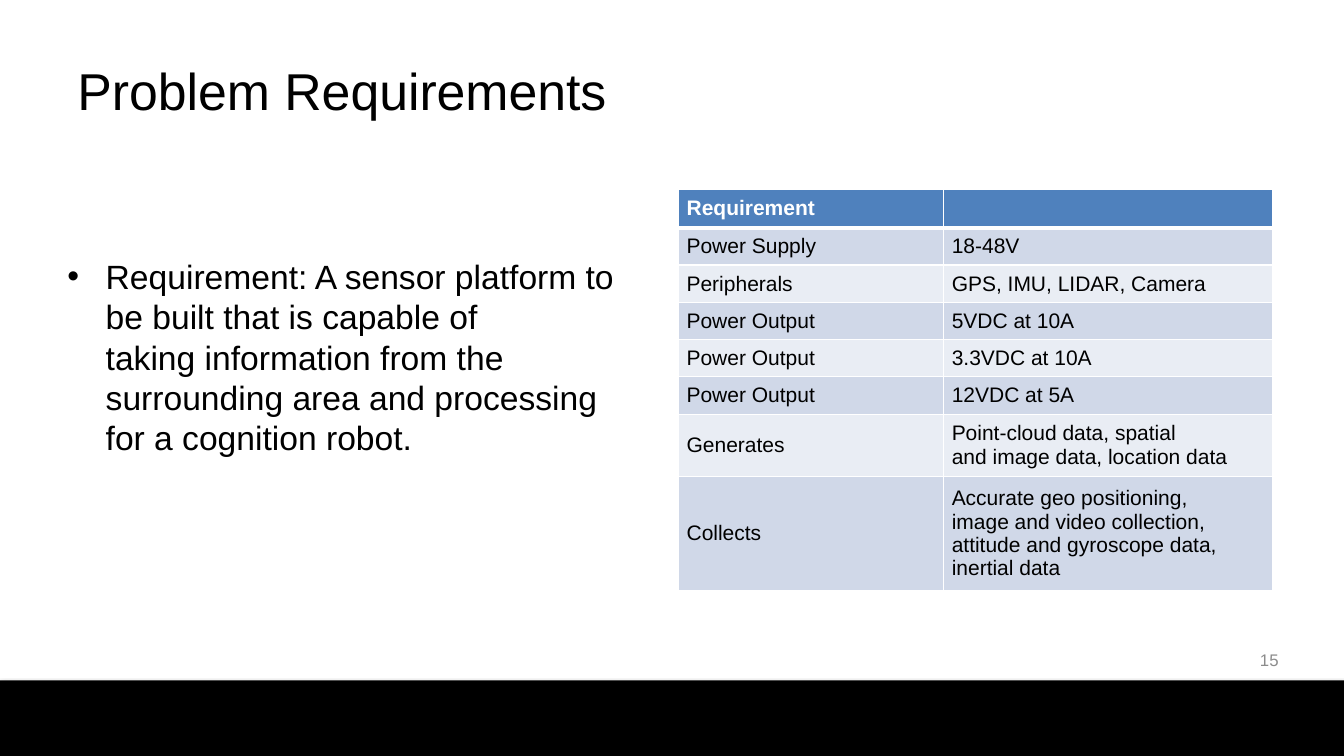
import pptx
import pptx.util
import pptx.dml.color
import pptx.enum.shapes
import pptx.enum.text
import pptx.oxml

TITLE = "Problem Requirements"
BODY = ("Requirement: A sensor platform to be built~that~is~capable of "
        "taking~information from the surrounding area~and~processing "
        "for a cognition robot.~")
NUMBER = "15"
ROWS = [
    ("Requirement", ""),
    ("Power Supply", "18-48V"),
    ("Peripherals", "GPS, IMU, LIDAR, Camera"),
    ("Power Output~", "5VDC at 10A"),
    ("Power Output", "3.3VDC at 10A"),
    ("Power Output", "12VDC at 5A"),
    ("Generates", "Point-cloud data, spatial and~image data, location data"),
    ("Collects~", "Accurate geo positioning, image~and video collection, "
                  "attitude and~gyroscope data, inertial data"),
]
HARD_SPACE = chr(160)
COL_WIDTHS = [2.63, 3.26]
ROW_HEIGHTS = [0.37] * 6 + [0.62, 1.13]
HEADER_FILL = "4F81BD"
BAND_FILLS = ["E9EDF4", "D0D8E8"]
NS = 'xmlns:a="http://schemas.openxmlformats.org/drawingml/2006/main"'

Inches = pptx.util.Inches
Pt = pptx.util.Pt
ANCHOR = pptx.enum.text.MSO_ANCHOR
ALIGN = pptx.enum.text.PP_ALIGN


def rgb(value):
    return pptx.dml.color.RGBColor.from_string(value)


def xml(text):
    return pptx.oxml.parse_xml(text)


def write(tf, text, size, color, bold=False):
    tf.text = text.replace("~", HARD_SPACE)
    p = tf.paragraphs[0]
    for r in p.runs:
        r.font.name = "Arial"
        r.font.size = Pt(size)
        r.font.bold = bold
        r.font.color.rgb = rgb(color)
    return p


def add_text(slide, box, text, size, color="000000", anchor=ANCHOR.MIDDLE):
    tf = slide.shapes.add_textbox(*map(Inches, box)).text_frame
    tf.word_wrap = True
    tf.vertical_anchor = anchor
    return write(tf, text, size, color)


def add_footer_bar(slide):
    rect = pptx.enum.shapes.MSO_SHAPE.RECTANGLE
    sp = slide.shapes.add_shape(rect, 0, Inches(6.75), Inches(13.33), Inches(0.75))
    sp.fill.solid()
    sp.fill.fore_color.rgb = rgb("000000")
    sp.line.fill.background()
    sp._element.spPr.append(xml(
        f'<a:effectLst {NS}><a:outerShdw blurRad="{Pt(3.1)}" dist="{Pt(1.8)}" '
        'dir="5400000" rotWithShape="0"><a:srgbClr val="000000">'
        '<a:alpha val="35000"/></a:srgbClr></a:outerShdw></a:effectLst>'))


def set_borders(cell, bottom):
    tcPr = cell._tc.get_or_add_tcPr()
    widths = {"lnL": 1, "lnR": 1, "lnT": 1, "lnB": bottom}
    for i, (tag, width) in enumerate(widths.items()):
        tcPr.insert(i, xml(
            f'<a:{tag} {NS} w="{Pt(width)}"><a:solidFill>'
            f'<a:srgbClr val="FFFFFF"/></a:solidFill></a:{tag}>'))


def add_requirements(slide):
    table = slide.shapes.add_table(
        len(ROWS), len(COL_WIDTHS), Inches(6.73), Inches(1.88),
        Inches(sum(COL_WIDTHS)), Inches(sum(ROW_HEIGHTS))).table
    for col, width in zip(table.columns, COL_WIDTHS):
        col.width = Inches(width)
    for i, (texts, height) in enumerate(zip(ROWS, ROW_HEIGHTS)):
        table.rows[i].height = Inches(height)
        header = i == 0
        for j, text in enumerate(texts):
            cell = table.cell(i, j)
            cell.vertical_anchor = ANCHOR.MIDDLE
            cell.margin_left = cell.margin_right = Inches(0.08)
            cell.margin_top = cell.margin_bottom = Inches(0.04)
            cell.fill.solid()
            cell.fill.fore_color.rgb = rgb(HEADER_FILL if header else BAND_FILLS[i % 2])
            set_borders(cell, 3 if header else 1)
            write(cell.text_frame, text, 15, "FFFFFF" if header else "000000", header)


def main():
    prs = pptx.Presentation()
    prs.slide_width = Inches(13.33)
    prs.slide_height = Inches(7.5)
    slide = prs.slides.add_slide(prs.slide_layouts[6])

    add_footer_bar(slide)
    add_text(slide, (0.67, 0.3, 12, 1.25), TITLE, 37).line_spacing = 0.9

    p = add_text(slide, (0.57, 2.49, 5.89, 3.03), BODY, 24, anchor=ANCHOR.TOP)
    p.space_before = Pt(4.8)
    pPr = p._p.get_or_add_pPr()
    pPr.set("marL", str(Inches(0.38)))
    pPr.set("indent", str(Inches(-0.38)))
    pPr.append(xml(f'<a:buFont {NS} typeface="Arial"/>'))
    pPr.append(xml(f'<a:buChar {NS} char="•"/>'))

    p = add_text(slide, (9.67, 6.35, 3.11, 0.4), NUMBER, 12, "8C8C8C")
    p.alignment = ALIGN.RIGHT
    p.space_after = Pt(6)

    add_requirements(slide)
    prs.save("out.pptx")


if __name__ == "__main__":
    main()
